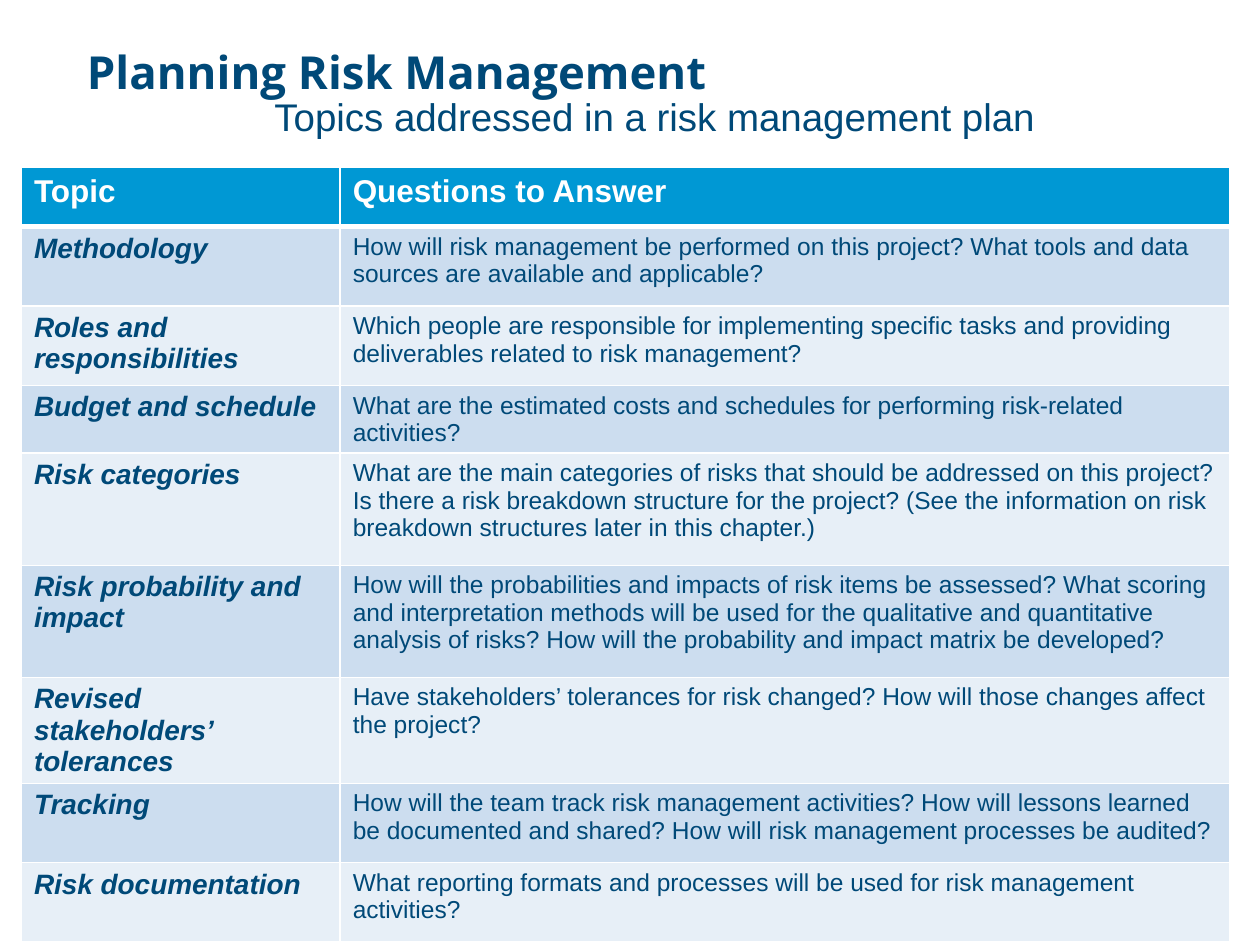
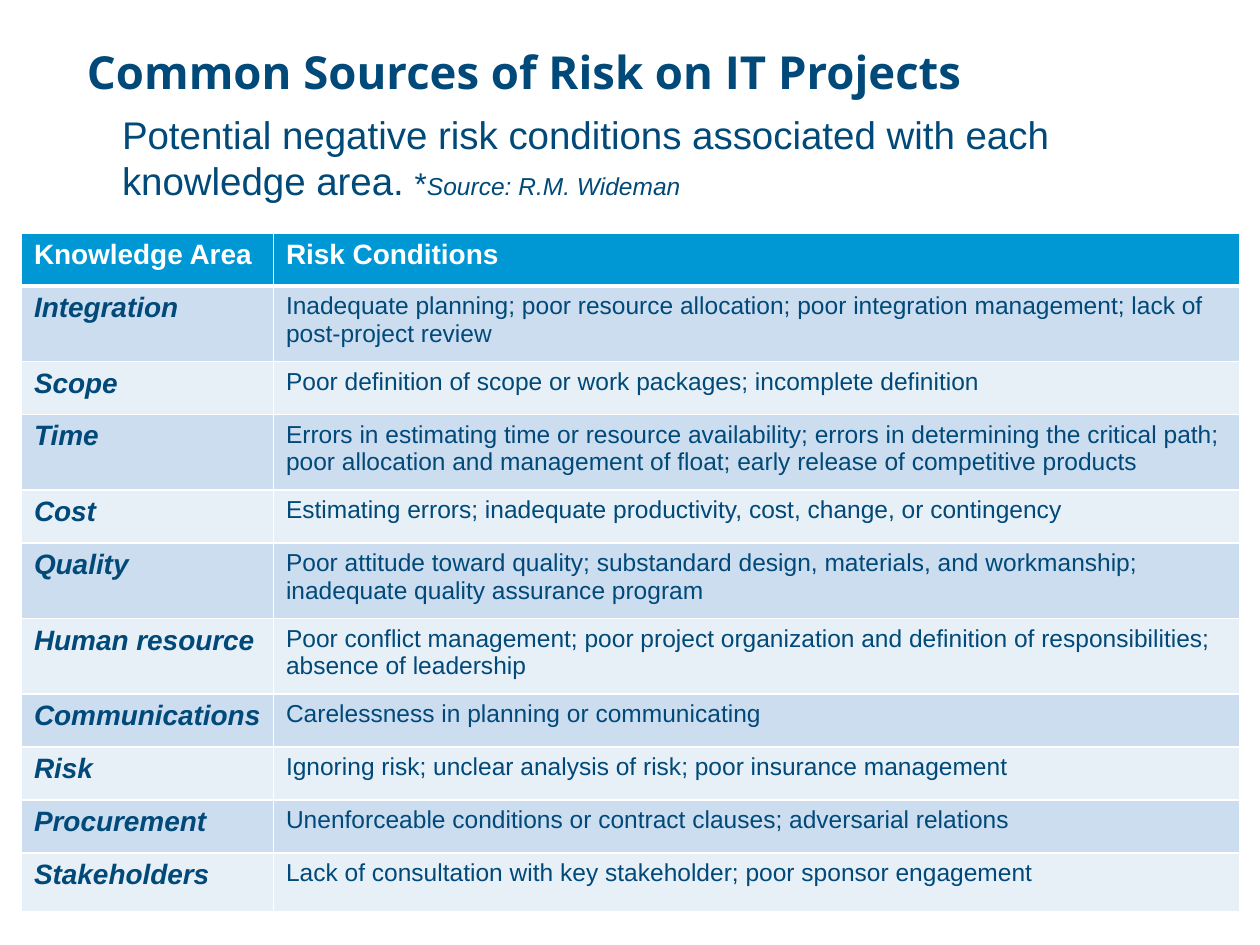
from lxml.etree import SubElement
from pptx import Presentation
from pptx.dml.color import RGBColor
from pptx.enum.text import MSO_ANCHOR as Anchor, MSO_AUTO_SIZE as AutoSize, PP_ALIGN as Align
from pptx.oxml.ns import qn
from pptx.util import Inches, Pt

NAVY = RGBColor(0x00, 0x49, 0x78)
HEADER_BLUE = RGBColor(0x00, 0x98, 0xD4)
BAND_DARK = RGBColor(0xCC, 0xDD, 0xEF)
BAND_LIGHT = RGBColor(0xE7, 0xEF, 0xF7)
WHITE = RGBColor(0xFF, 0xFF, 0xFF)

SLIDE_WIDTH, SLIDE_HEIGHT = Inches(10), Inches(7.5)
COLUMN, ROW = SLIDE_WIDTH / 100, SLIDE_HEIGHT / 75
TITLE_ONLY = 5
TITLE_AREA = (6.9, 4, 86.2, 14.5)
TABLE_LEFT = 1.7

PLAN_HEADINGS = ("Topic", "Questions to Answer")
PLAN_TOPICS = [
    (6.3, "Methodology",
     "How will risk management be performed on this project? "
     "What tools and data sources are available and applicable?"),
    (6.3, "Roles and responsibilities",
     "Which people are responsible for implementing specific tasks "
     "and providing deliverables related to risk management?"),
    (4.7, "Budget and schedule",
     "What are the estimated costs and schedules for performing risk-related activities?"),
    (8.9, "Risk categories",
     "What are the main categories of risks that should be addressed on this project? "
     "Is there a risk breakdown structure for the project? (See the information on risk\n"
     "breakdown structures later in this chapter.)"),
    (8.9, "Risk probability and impact",
     "How will the probabilities and impacts of risk items be assessed? "
     "What scoring and interpretation methods will be used for the qualitative and "
     "quantitative analysis of risks? "
     "How will the probability and impact matrix be developed?"),
    (6.6, "Revised stakeholders’\ntolerances",
     "Have stakeholders’ tolerances for risk changed? "
     "How will those changes affect the project?"),
    (6.3, "Tracking",
     "How will the team track risk management activities? "
     "How will lessons learned be documented and shared? "
     "How will risk management processes be audited?"),
    (6.3, "Risk documentation",
     "What reporting formats and processes will be used for risk management activities?"),
]

SOURCE_HEADINGS = ("Knowledge Area", "Risk Conditions")
RISK_SOURCES = [
    (6, "Integration",
     "Inadequate planning; poor resource allocation; poor integration management; "
     "lack of post-project review"),
    (4.2, "Scope", "Poor definition of scope or work packages; incomplete definition"),
    (6, "Time",
     "Errors in estimating time or resource availability; errors in determining the "
     "critical path; poor allocation and management of float; "
     "early release of competitive products"),
    (4.2, "Cost", "Estimating errors; inadequate productivity, cost, change, or contingency"),
    (6, "Quality",
     "Poor attitude toward quality; substandard design, materials, and workmanship; "
     "inadequate quality assurance program"),
    (6, "Human resource",
     "Poor conflict management; poor project organization and definition of "
     "responsibilities; absence of leadership"),
    (4.2, "Communications", "Carelessness in planning or communicating"),
    (4.2, "Risk", "Ignoring risk; unclear analysis of risk; poor insurance management"),
    (4.2, "Procurement", "Unenforceable conditions or contract clauses; adversarial relations"),
    (4.7, "Stakeholders", "Lack of consultation with key stakeholder; poor sponsor engagement"),
]


def columns(count):
    return round(count * COLUMN)


def rows(count):
    return round(count * ROW)


def place(left, top, width, height):
    return columns(left), rows(top), columns(width), rows(height)


def add_run(paragraph, text, size, color=NAVY, bold=False, italic=False, face="Arial"):
    run = paragraph.add_run()
    run.text = text
    font = run.font
    font.name, font.size, font.bold, font.italic = face, Pt(size), bold, italic
    font.color.rgb = color


def add_titled_slide(deck, heading):
    slide = deck.slides.add_slide(deck.slide_layouts[TITLE_ONLY])
    title = slide.shapes.title
    title.left, title.top, title.width, title.height = place(*TITLE_AREA)
    frame = title.text_frame
    frame.margin_left = frame.margin_right = frame.margin_top = frame.margin_bottom = 0
    frame.vertical_anchor = Anchor.TOP
    frame.auto_size = AutoSize.NONE
    paragraph = frame.paragraphs[0]
    paragraph.alignment = Align.LEFT
    paragraph.line_spacing = 0.9
    add_run(paragraph, heading, 26, bold=True, face="Open Sans")
    return slide


def add_subtitle(slide, area, *phrases):
    frame = slide.shapes.add_textbox(*place(*area)).text_frame
    frame.word_wrap = True
    frame.auto_size = AutoSize.SHAPE_TO_FIT_TEXT
    for text, size, italic in phrases:
        add_run(frame.paragraphs[0], text, size, italic=italic)


def draw_borders(cell, top=1, bottom=1):
    properties = cell._tc.get_or_add_tcPr()
    for side, width in (("L", 1), ("R", 1), ("T", top), ("B", bottom)):
        border = SubElement(properties, qn(f"a:ln{side}"), w=str(Pt(width)))
        fill = SubElement(border, qn("a:solidFill"))
        SubElement(fill, qn("a:srgbClr"), val=str(WHITE))


def fill_cell(cell, text, background, size, **style):
    cell.fill.solid()
    cell.fill.fore_color.rgb = background
    frame = cell.text_frame
    for index, line in enumerate(text.split("\n")):
        paragraph = frame.add_paragraph() if index else frame.paragraphs[0]
        add_run(paragraph, line, size, **style)


def add_topic_table(slide, top, widths, headings, heading_height, heading_size, entries):
    heights = [heading_height] + [entry[0] for entry in entries]
    area = place(TABLE_LEFT, top, sum(widths), sum(heights))
    table = slide.shapes.add_table(len(heights), len(widths), *area).table
    for column, width in zip(table.columns, widths):
        column.width = columns(width)
    for row, height in zip(table.rows, heights):
        row.height = rows(height)

    for cell, heading in zip(table.rows[0].cells, headings):
        draw_borders(cell, bottom=3)
        fill_cell(cell, heading, HEADER_BLUE, heading_size, color=WHITE, bold=True)

    for number, (_, topic, details) in enumerate(entries, start=1):
        band = BAND_DARK if number % 2 else BAND_LIGHT
        topic_cell, details_cell = table.rows[number].cells
        for cell in (topic_cell, details_cell):
            draw_borders(cell, top=3 if number == 1 else 1)
        fill_cell(topic_cell, topic, band, 16, bold=True, italic=True)
        fill_cell(details_cell, details, band, 14)


def main():
    deck = Presentation()
    deck.slide_width, deck.slide_height = SLIDE_WIDTH, SLIDE_HEIGHT

    planning = add_titled_slide(deck, "Planning Risk Management")
    add_topic_table(planning, 13.3, (25.3, 70.6), PLAN_HEADINGS, 4.7, 18, PLAN_TOPICS)
    add_subtitle(planning, (20.8, 6.9, 82.9, 4.7),
                 ("Topics addressed in a risk management plan", 22, False))

    sources = add_titled_slide(deck, "Common Sources of Risk on IT Projects")
    add_topic_table(sources, 18.5, (20, 76.7), SOURCE_HEADINGS, 4.2, 16, RISK_SOURCES)
    add_subtitle(sources, (8.7, 8.3, 84.5, 8.4),
                 ("Potential negative risk conditions associated with each knowledge area. ", 22, False),
                 ("*", 18, False),
                 ("Source: R.M. Wideman", 14, True))

    deck.save("out.pptx")


if __name__ == "__main__":
    main()
